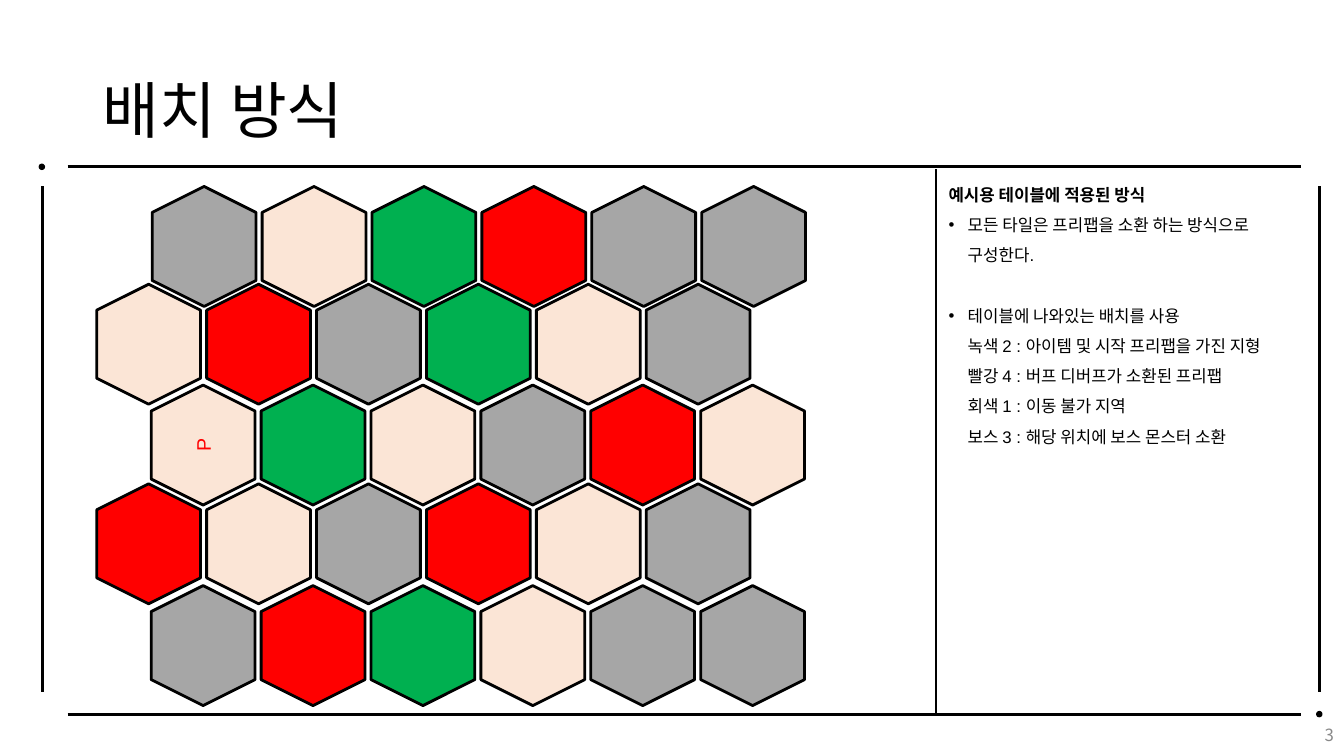
from lxml import etree
from pptx import Presentation
from pptx.dml.color import RGBColor
from pptx.enum import shapes, text
from pptx.oxml import ns
from pptx.util import Inches, Pt

COLORS = {"gray": "A6A6A6", "cream": "FBE5D6", "green": "00B050",
          "red": "FF0000", "black": "000000", "number": "888888"}
KOREAN = "Noto Sans CJK KR"


def style_text(para, size, color, latin, bold=False):
    for span in para.runs:
        span.font.size = Pt(size)
        span.font.bold = bold
        span.font.name = latin
        span.font.color.rgb = RGBColor.from_string(COLORS[color])
        east = etree.SubElement(span.font._element, ns.qn("a:ea"))
        east.set("typeface", KOREAN)
    for line_break in para._p.findall(ns.qn("a:br")):
        etree.SubElement(line_break, ns.qn("a:rPr")).set("sz", str(size * 100))


def add_outlined(kind, left, top, width, height, color, weight):
    shape = page.shapes.add_shape(
        kind, Inches(left), Inches(top), Inches(width), Inches(height))
    shape.shadow.inherit = False
    shape.fill.solid()
    shape.fill.fore_color.rgb = RGBColor.from_string(COLORS[color])
    shape.line.color.rgb = RGBColor.from_string(COLORS["black"])
    shape.line.width = Pt(weight)
    return shape


deck = Presentation()
deck.slide_width = Inches(13.33)
deck.slide_height = Inches(7.5)
page = deck.slides.add_slide(deck.slide_layouts[5])

title = page.shapes.title
title.left, title.top = Inches(0.92), Inches(0.4)
title.width, title.height = Inches(11.5), Inches(1.45)
title.text_frame.text = "배치 방식"
title.text_frame.vertical_anchor = text.MSO_ANCHOR.MIDDLE
heading = title.text_frame.paragraphs[0]
heading.alignment = text.PP_ALIGN.LEFT
heading.line_spacing = 0.9
style_text(heading, 44, "black", KOREAN)

tile_rows = [
    (1.43, 1.93, "gray cream green red gray gray"),
    (0.88, 2.9, "cream red gray green cream gray"),
    (1.42, 3.9, "cream green cream gray red cream"),
    (0.88, 4.88, "red cream gray red cream gray"),
    (1.42, 5.89, "gray red green cream gray gray"),
]
tiles = []
for left, top, row_colors in tile_rows:
    for column, color in enumerate(row_colors.split()):
        tile = add_outlined(shapes.MSO_SHAPE.HEXAGON, left + column * 1.09, top,
                            1.19, 1.03, color, 2)
        tile.rotation = 270
        tiles.append(tile)

player_frame = tiles[12].text_frame
player_frame.text = "P"
player_frame.vertical_anchor = text.MSO_ANCHOR.MIDDLE
player_frame.paragraphs[0].alignment = text.PP_ALIGN.CENTER
style_text(player_frame.paragraphs[0], 14, "red", "Arial")

rules = [
    (0.67, 1.65, 12.9, 1.65, 2.25),
    (0.67, 7.09, 12.9, 7.09, 2.25),
    (0.42, 1.85, 0.42, 6.87, 2.25),
    (13.09, 1.85, 13.09, 6.87, 2.25),
    (9.28, 1.68, 9.28, 7.09, 1.5),
]
for x1, y1, x2, y2, weight in rules:
    rule = page.shapes.add_connector(shapes.MSO_CONNECTOR.STRAIGHT, Inches(x1),
                                     Inches(y1), Inches(x2), Inches(y2))
    rule.line.color.rgb = RGBColor.from_string(COLORS["black"])
    rule.line.width = Pt(weight)
    etree.SubElement(rule._element.spPr, ns.qn("a:effectLst"))

for left, top in [(13.06, 7.06), (0.39, 1.63)]:
    add_outlined(shapes.MSO_SHAPE.OVAL, left, top, 0.05, 0.05, "black", 1)

number_box = page.shapes.add_textbox(Inches(10.33), Inches(7.09), Inches(3), Inches(0.4))
number_box.text_frame.word_wrap = True
number_box.text_frame.vertical_anchor = text.MSO_ANCHOR.MIDDLE
number_box.text_frame.text = "3"
number_box.text_frame.paragraphs[0].alignment = text.PP_ALIGN.RIGHT
style_text(number_box.text_frame.paragraphs[0], 12, "number", KOREAN)

notes = [
    "예시용 테이블에 적용된 방식",
    "모든 타일은 프리팹을 소환 하는 방식으로 \v구성한다.",
    "테이블에 나와있는 배치를 사용\v"
    "녹색 2 : 아이템 및 시작 프리팹을 가진 지형\v"
    "빨강 4 : 버프 디버프가 소환된 프리팹\v"
    "회색 1 : 이동 불가 지역\v"
    "보스 3 : 해당 위치에 보스 몬스터 소환",
]
rule_box = page.shapes.add_textbox(Inches(9.31), Inches(1.68), Inches(4), Inches(2.83))
rule_box.text_frame.word_wrap = True
for index, note in enumerate(notes):
    para = rule_box.text_frame.paragraphs[0] if index == 0 else rule_box.text_frame.add_paragraph()
    para.text = note
    para.line_spacing = 1.5
    if index == 2:
        para.space_before = Pt(21.6)
    if index > 0:
        properties = para._p.get_or_add_pPr()
        properties.set("marL", str(Inches(0.19)))
        properties.set("indent", str(-Inches(0.19)))
        etree.SubElement(properties, ns.qn("a:buFont")).set("typeface", "Arial")
        etree.SubElement(properties, ns.qn("a:buChar")).set("char", "•")
    style_text(para, 12, "black", "Arial", bold=index == 0)

deck.save("out.pptx")
